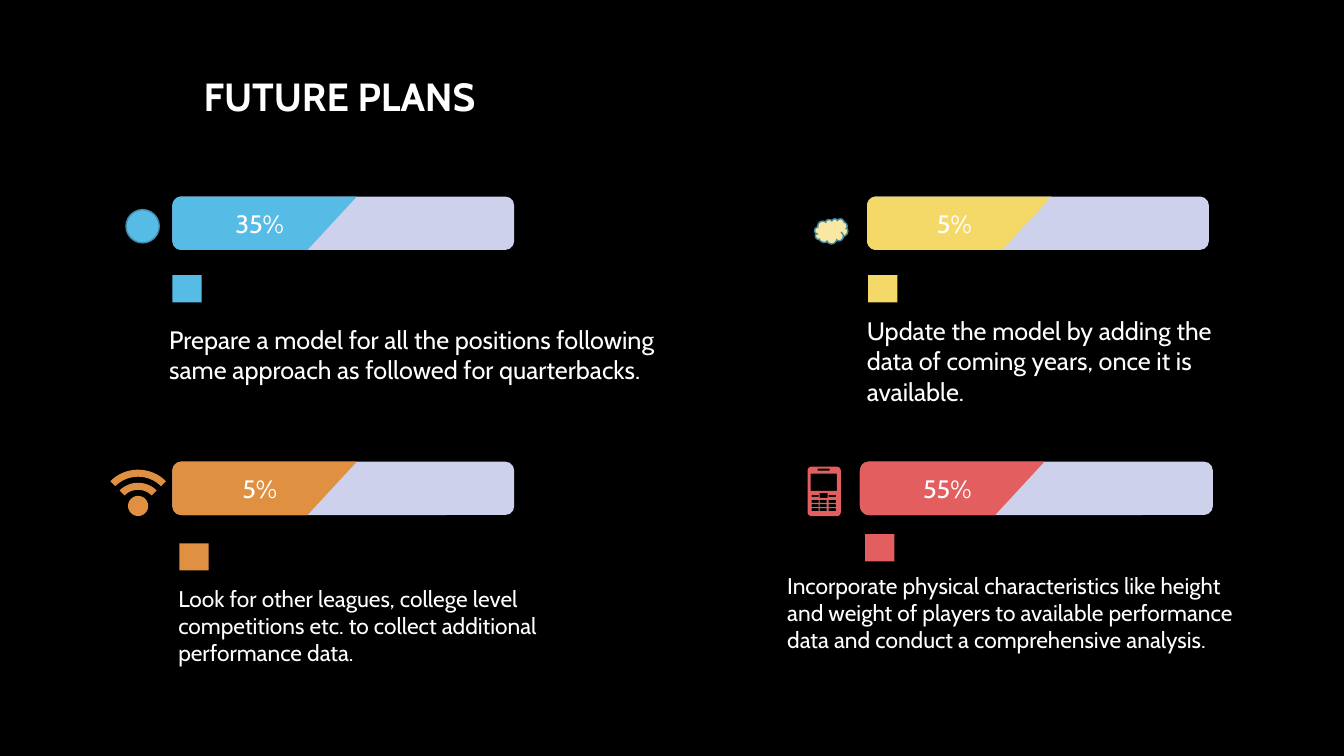
from math import cos, radians, sin

from pptx import Presentation
from pptx.dml.color import RGBColor
from pptx.enum.shapes import MSO_SHAPE
from pptx.enum.text import MSO_ANCHOR, PP_ALIGN
from pptx.util import Pt

PX = 9144  # 100 px to the inch
FONT = "Cabin"
RECT, ROUNDED = MSO_SHAPE.RECTANGLE, MSO_SHAPE.ROUNDED_RECTANGLE
OVAL, CLOUD = MSO_SHAPE.OVAL, MSO_SHAPE.CLOUD
MIDDLE, CENTER = MSO_ANCHOR.MIDDLE, PP_ALIGN.CENTER

COLORS = {
    "background": "000000",
    "text": "FFFFFF",
    "track": "CDD1EB",
    "blue": "57BCE5",
    "yellow": "F4D968",
    "orange": "DF9041",
    "red": "E35F5F",
    "cloud": "F8E8A4",
    "outline": "408BA9",
}


def rgb(name):
    return RGBColor.from_string(COLORS[name])


def emu(*lengths):
    return [round(length * PX) for length in lengths]


def paint(shape, color, outline=None):
    shape.shadow.inherit = False
    shape.fill.solid()
    shape.fill.fore_color.rgb = rgb(color)
    if outline:
        shape.line.color.rgb = rgb(outline)
        shape.line.width = Pt(1)
    else:
        shape.line.fill.background()
    return shape


def add_preset(slide, preset, box, color, outline=None):
    return paint(slide.shapes.add_shape(preset, *emu(*box)), color, outline)


def add_outlines(slide, left, top, outlines, color):
    """Draw closed outlines, given relative to left and top, as one shape."""
    builder = None
    for outline in outlines:
        points = [emu(left + x, top + y) for x, y in outline]
        if builder is None:
            builder = slide.shapes.build_freeform(*points[0])
        else:
            builder.move_to(*points[0])
        builder.add_line_segments(points[1:], close=True)
    return paint(builder.convert_to_shape(), color)


def add_run(para, text, size, bold=False):
    run = para.add_run()
    run.text = text
    run.font.name = FONT
    run.font.size = Pt(size)
    run.font.bold = bold
    run.font.color.rgb = rgb("text")


def add_text(slide, box, text, size, bold=False):
    frame = slide.shapes.add_textbox(*emu(*box)).text_frame
    frame.word_wrap = True
    add_run(frame.paragraphs[0], text, size, bold)


def arc(center_x, center_y, radius, start, end, steps=16):
    """Points on a circle; angles run clockwise in degrees from the right."""
    angles = [radians(start + (end - start) * i / steps) for i in range(steps + 1)]
    return [(center_x + radius * cos(a), center_y + radius * sin(a)) for a in angles]


def rounded(width, height, radius):
    right, bottom = width - radius, height - radius
    corners = [(radius, radius, 180), (right, radius, 270),
               (right, bottom, 0), (radius, bottom, 90)]
    return [point for x, y, start in corners
            for point in arc(x, y, radius, start, start + 90, 6)]


def rectangle(x, y, width, height):
    return [(x, y), (x + width, y), (x + width, y + height), (x, y + height)]


def add_circle_icon(slide, left, top, color):
    add_preset(slide, OVAL, (left, top, 33, 33), color, "outline")


def add_cloud_icon(slide, left, top, color):
    add_preset(slide, CLOUD, (left, top, 33, 25), color, "outline")


def add_signal_icon(slide, left, top, color):
    dot = arc(27, 36, 10, 0, 360, 32)
    waves = [arc(27, 39, outer, -135, -45) + arc(27, 39, outer - 7, -45, -135)
             for outer in (26, 39)]
    add_outlines(slide, left, top, [dot, *waves], color)


def add_phone_icon(slide, left, top, color):
    speaker, screen = rectangle(10, 2, 12, 2), rectangle(3, 7, 26, 17)
    top_keys = [rectangle(4, 28, 7, 2), rectangle(12, 26, 8, 5), rectangle(21, 28, 7, 2)]
    keypad = [rectangle(x, y, 7, 3) for y in (33, 37, 41) for x in (4, 12, 21)]
    outlines = [rounded(33, 49, 4), speaker, screen, *top_keys, *keypad]
    add_outlines(slide, left, top, outlines, color)


def add_progress_bar(slide, box, percent, color):
    left, top, _, height = box
    add_preset(slide, ROUNDED, box, "track")
    outline = [(183, 0), (134, height),
               *arc(9, height - 9, 9, 90, 180, 6), *arc(9, 9, 9, 180, 270, 6)]
    frame = add_outlines(slide, left, top, [outline], color).text_frame
    frame.margin_left = 0
    frame.vertical_anchor = MIDDLE
    para = frame.paragraphs[0]
    para.alignment = CENTER
    add_run(para, percent, 18)


def add_plan(slide, bar, percent, color, swatch, note, text, size, icon):
    """Place one plan; swatch, note and icon are offset from the bar's corner."""
    left, top = bar[:2]
    add_progress_bar(slide, bar, percent, color)
    add_preset(slide, RECT, (left + swatch[0], top + swatch[1], 29, 27), color)
    add_text(slide, (left + note[0], top + note[1], *note[2:]), text, size)
    add_icon, x, y, icon_color = icon
    add_icon(slide, left + x, top + y, icon_color)


PLANS = [
    ((171, 195, 339, 53), "35%", "blue", (0, 78), (-13, 122, 511, 115),
     "Prepare a model for all the positions following same approach as "
     "followed for quarterbacks.", 18, (add_circle_icon, -46, 13, "blue")),
    ((860, 195, 339, 53), "5%", "yellow", (1, 78), (-10, 113, 377, 95),
     "Update the model by adding the data of coming years, once it is "
     "available.", 18, (add_cloud_icon, -52, 22, "cloud")),
    ((171, 458, 339, 53), "5%", "orange", (7, 81), (-4, 117, 413, 91),
     "Look for other leagues, college level competitions etc. to collect "
     "additional performance data.", 16.2, (add_signal_icon, -61, 8, "orange")),
    ((853, 458, 350, 53), "55%", "red", (5, 72), (-82, 104, 487, 101),
     "Incorporate physical characteristics like height and weight of players "
     "to available performance data and conduct a comprehensive analysis.",
     16.2, (add_phone_icon, -52, 5, "red")),
]


def main():
    deck = Presentation()
    deck.slide_width, deck.slide_height = emu(1333, 750)
    slide = deck.slides.add_slide(deck.slide_layouts[6])
    slide.background.fill.solid()
    slide.background.fill.fore_color.rgb = rgb("background")
    add_text(slide, (192, 67, 658, 57), "FUTURE PLANS", 28, bold=True)
    for plan in PLANS:
        add_plan(slide, *plan)
    deck.save("out.pptx")


if __name__ == "__main__":
    main()
